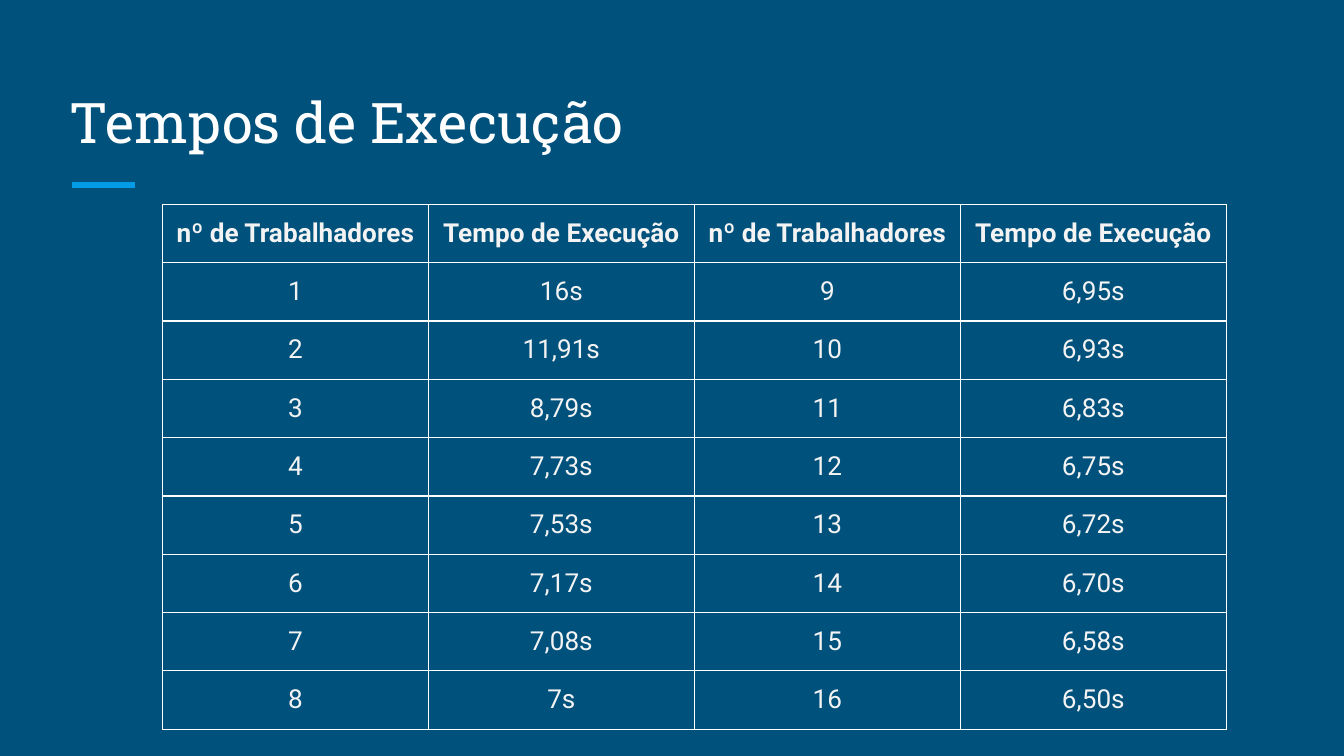
from lxml import etree
from pptx import Presentation
from pptx.dml.color import RGBColor
from pptx.enum.shapes import MSO_CONNECTOR
from pptx.enum.text import MSO_ANCHOR, PP_ALIGN
from pptx.oxml.ns import qn
from pptx.util import Pt

STRAIGHT = MSO_CONNECTOR.STRAIGHT
BOTTOM, TOP = MSO_ANCHOR.BOTTOM, MSO_ANCHOR.TOP
CENTER, LEFT = PP_ALIGN.CENTER, PP_ALIGN.LEFT

TITLE = "Tempos de Execução"
HEADERS = ["nº de Trabalhadores", "Tempo de Execução"]
TIMES = [
    "16s", "11,91s", "8,79s", "7,73s", "7,53s", "7,17s", "7,08s", "7s",
    "6,95s", "6,93s", "6,83s", "6,75s", "6,72s", "6,70s", "6,58s", "6,50s",
]

THEME = {
    "background": "00517C",
    "accent": "039BE5",
    "border": "FFFFFF",
    "title": {"font": "Roboto Slab", "size": 30, "color": "FFFFFF"},
    "cell": {"font": "Roboto", "size": 14, "color": "F3F3F3"},
}
SLIDE_WIDTH, SLIDE_HEIGHT = 720, 405
TITLE_BOX = (30.24, 36, 658.8, 54)
ACCENT_LEFT, ACCENT_RIGHT, ACCENT_TOP, ACCENT_WEIGHT = 38.6, 72.3, 99, 3
TABLE_LEFT, TABLE_TOP = 87, 109.5
COLUMN_WIDTH, ROW_HEIGHT = 142.5, 30.9
BORDER_WEIGHT = 0.75
INSET = 7.2


def add_run(paragraph, text, style, bold=False):
    run = paragraph.add_run()
    run.text = text
    run.font.name = style["font"]
    run.font.size = Pt(style["size"])
    run.font.bold = bold
    run.font.color.rgb = RGBColor.from_string(style["color"])


def add_title(slide):
    box = slide.shapes.add_textbox(*map(Pt, TITLE_BOX))
    frame = box.text_frame
    frame.word_wrap = True
    frame.vertical_anchor = BOTTOM
    frame.margin_left = frame.margin_right = Pt(INSET)
    frame.margin_top = frame.margin_bottom = Pt(INSET)
    paragraph = frame.paragraphs[0]
    paragraph.alignment = LEFT
    add_run(paragraph, TITLE, THEME["title"])


def add_accent(slide):
    accent = slide.shapes.add_connector(
        STRAIGHT, Pt(ACCENT_LEFT), Pt(ACCENT_TOP), Pt(ACCENT_RIGHT), Pt(ACCENT_TOP))
    accent.line.color.rgb = RGBColor.from_string(THEME["accent"])
    accent.line.width = Pt(ACCENT_WEIGHT)
    etree.SubElement(accent._element.spPr, qn("a:effectLst"))


def set_borders(cell):
    """Outline all four sides; the schema wants borders ahead of the fill."""
    properties = cell._tc.get_or_add_tcPr()
    for index, side in enumerate(("a:lnL", "a:lnR", "a:lnT", "a:lnB")):
        line = etree.Element(qn(side), w=str(Pt(BORDER_WEIGHT)))
        fill = etree.SubElement(line, qn("a:solidFill"))
        etree.SubElement(fill, qn("a:srgbClr"), val=THEME["border"])
        properties.insert(index, line)


def fill_cell(cell, text, bold):
    cell.fill.background()
    cell.vertical_anchor = TOP
    cell.margin_left = cell.margin_right = Pt(INSET)
    cell.margin_top = cell.margin_bottom = Pt(INSET)
    paragraph = cell.text_frame.paragraphs[0]
    paragraph.alignment = CENTER
    add_run(paragraph, text, THEME["cell"], bold)
    set_borders(cell)


def table_rows():
    """Split the timings into two halves that stand side by side."""
    measurements = [(str(workers), time) for workers, time in enumerate(TIMES, 1)]
    half = len(measurements) // 2
    pairs = zip(measurements[:half], measurements[half:])
    return [HEADERS * 2] + [left + right for left, right in pairs]


def add_times_table(slide):
    rows = table_rows()
    row_count, column_count = len(rows), len(rows[0])
    table = slide.shapes.add_table(
        row_count, column_count, Pt(TABLE_LEFT), Pt(TABLE_TOP),
        Pt(COLUMN_WIDTH * column_count), Pt(ROW_HEIGHT * row_count)).table
    table.horz_banding = False
    for column in table.columns:
        column.width = Pt(COLUMN_WIDTH)
    for row_index, texts in enumerate(rows):
        table.rows[row_index].height = Pt(ROW_HEIGHT)
        for column_index, text in enumerate(texts):
            fill_cell(table.cell(row_index, column_index), text, bold=row_index == 0)


def main():
    presentation = Presentation()
    presentation.slide_width = Pt(SLIDE_WIDTH)
    presentation.slide_height = Pt(SLIDE_HEIGHT)
    slide = presentation.slides.add_slide(presentation.slide_layouts[6])
    background = slide.background.fill
    background.solid()
    background.fore_color.rgb = RGBColor.from_string(THEME["background"])
    add_accent(slide)
    add_title(slide)
    add_times_table(slide)
    presentation.save("out.pptx")


if __name__ == "__main__":
    main()
